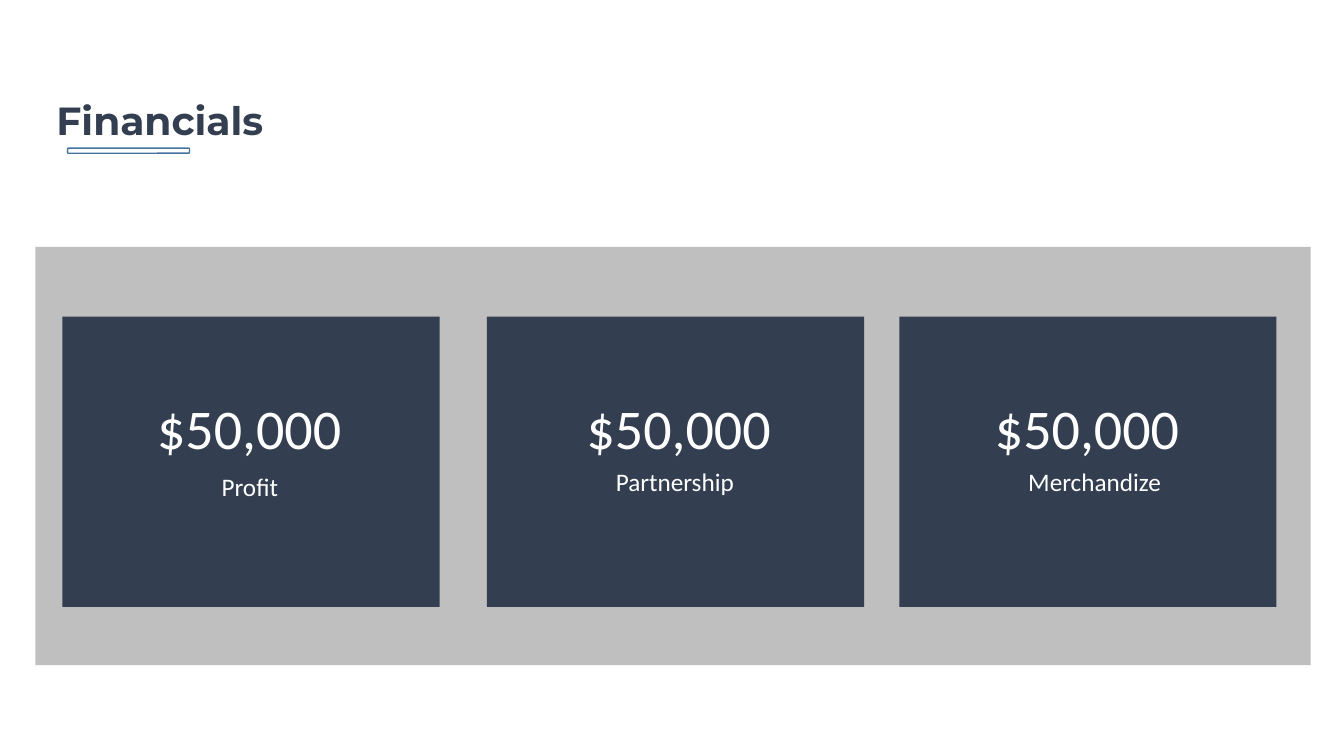
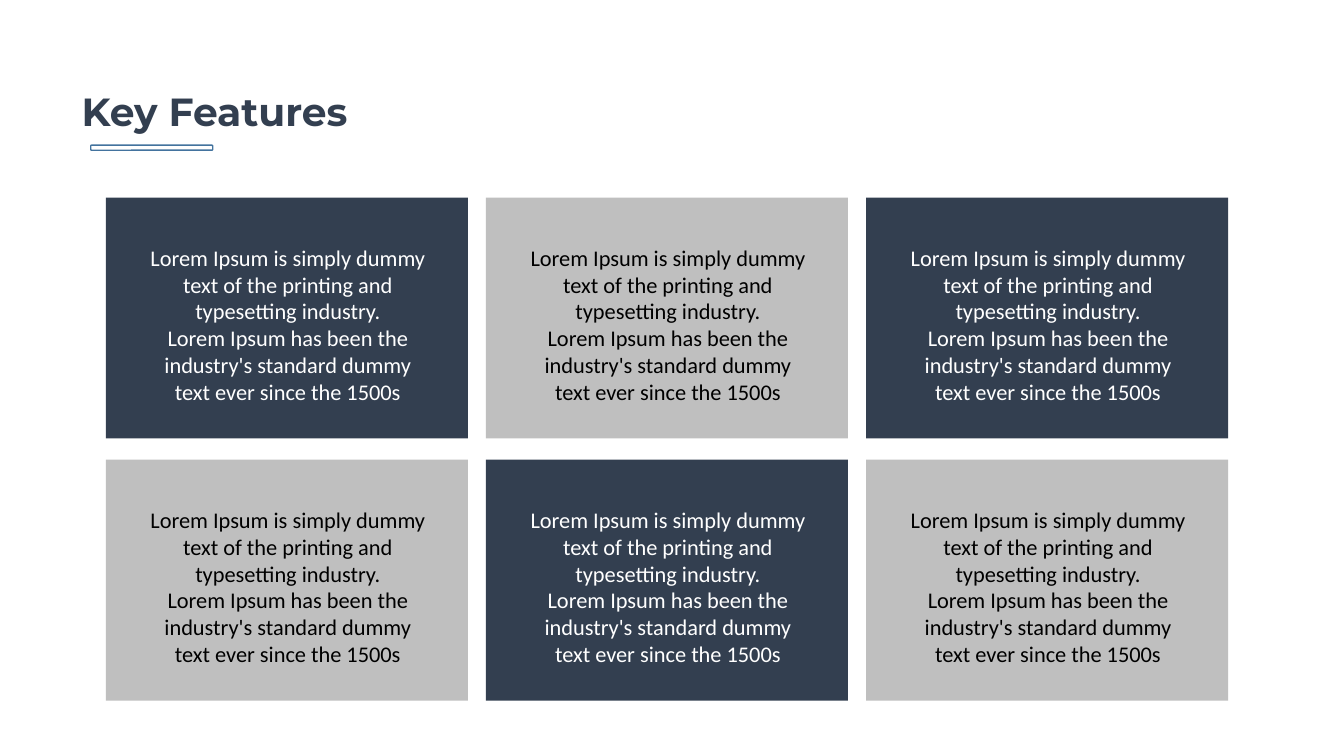
from dataclasses import dataclass

from pptx import Presentation
from pptx.dml.color import RGBColor
from pptx.enum.shapes import MSO_SHAPE
from pptx.enum.text import MSO_ANCHOR, MSO_AUTO_SIZE, PP_ALIGN
from pptx.shapes.autoshape import Shape
from pptx.slide import Slide
from pptx.util import Inches, Pt

NAVY = "333F50"
GRAY = "BFBFBF"
BLUE = "43739E"
WHITE = "FFFFFF"
BLACK = "000000"
HEADING_FONT = "Montserrat"
BODY_FONT = "Calibri"
TITLE_ONLY = 5


@dataclass(frozen=True)
class Box:
    left: float
    top: float
    width: float
    height: float

    def inches(self) -> tuple[int, int, int, int]:
        return (Inches(self.left), Inches(self.top),
                Inches(self.width), Inches(self.height))


@dataclass(frozen=True)
class Grid:
    origin: Box
    gap_x: float
    gap_y: float

    def cell(self, column: int, row: int) -> Box:
        first = self.origin
        return Box(first.left + column * (first.width + self.gap_x),
                   first.top + row * (first.height + self.gap_y),
                   first.width, first.height)


@dataclass(frozen=True)
class TextStyle:
    size: int
    color: str
    font: str = BODY_FONT
    bold: bool = False
    align: PP_ALIGN = PP_ALIGN.LEFT
    spacing: float = 1.0
    wrap: bool = False


@dataclass(frozen=True)
class Figure:
    amount: str
    label: str
    card_left: float
    amount_left: float
    label_box: Box


HEADING = TextStyle(28, NAVY, HEADING_FONT, bold=True, spacing=1.15)
AMOUNT = TextStyle(40, WHITE)
LABEL = TextStyle(18, WHITE)

FINANCIALS_PANEL = Box(0.35, 2.45, 12.65, 4.15)
FIGURES = (
    Figure("$50,000", "Profit", 0.62, 1.46, Box(2.1, 4.63, 0.77, 0.4)),
    Figure("$50,000", "Partnership", 4.83, 5.72, Box(6.01, 4.58, 1.38, 0.4)),
    Figure("$50,000", "Merchandize", 8.92, 9.77, Box(10.1, 4.58, 1.53, 0.4)),
)

FEATURE_GRID = Grid(Box(1.05, 1.96, 3.59, 2.39), gap_x=0.18, gap_y=0.21)
FEATURE_COLUMNS, FEATURE_ROWS = 3, 2
FEATURE_LINES = (
    "Lorem Ipsum is simply dummy",
    "text of the printing and",
    "typesetting industry.",
    "Lorem Ipsum has been the",
    "industry's standard dummy",
    "text ever since the 1500s",
)


def rgb(color: str) -> RGBColor:
    return RGBColor.from_string(color)


def write(holder: Shape, lines: tuple[str, ...], style: TextStyle) -> None:
    frame = holder.text_frame
    frame.word_wrap = style.wrap
    frame.auto_size = MSO_AUTO_SIZE.SHAPE_TO_FIT_TEXT
    frame.vertical_anchor = MSO_ANCHOR.TOP
    for index, line in enumerate(lines):
        paragraph = frame.add_paragraph() if index else frame.paragraphs[0]
        paragraph.alignment = style.align
        paragraph.line_spacing = style.spacing
        run = paragraph.add_run()
        run.text = line
        run.font.name = style.font
        run.font.size = Pt(style.size)
        run.font.bold = style.bold
        run.font.color.rgb = rgb(style.color)


def add_text(slide: Slide, box: Box, lines: tuple[str, ...], style: TextStyle) -> None:
    write(slide.shapes.add_textbox(*box.inches()), lines, style)


def add_card(slide: Slide, box: Box, color: str) -> None:
    card = slide.shapes.add_shape(MSO_SHAPE.RECTANGLE, *box.inches())
    card.shadow.inherit = False
    card.fill.solid()
    card.fill.fore_color.rgb = rgb(color)
    card.line.fill.background()


def add_heading(slide: Slide, heading: str, box: Box, rule_left: float, rule_top: float) -> None:
    title = slide.shapes.title
    title.left, title.top, title.width, title.height = box.inches()
    write(title, (heading,), HEADING)
    rule = slide.shapes.add_shape(MSO_SHAPE.ROUNDED_RECTANGLE,
                                  *Box(rule_left, rule_top, 1.21, 0.05).inches())
    rule.shadow.inherit = False
    rule.fill.background()
    rule.line.color.rgb = rgb(BLUE)
    rule.line.width = Pt(1)


def build_financials(slide: Slide) -> None:
    add_card(slide, FINANCIALS_PANEL, GRAY)
    add_heading(slide, "Financials", Box(0.46, 0.84, 2.4, 0.61), 0.67, 1.47)
    for figure in FIGURES:
        add_card(slide, Box(figure.card_left, 3.14, 3.74, 2.88), NAVY)
        add_text(slide, Box(figure.amount_left, 3.86, 2.05, 0.77), (figure.amount,), AMOUNT)
        add_text(slide, figure.label_box, (figure.label,), LABEL)


def build_key_features(slide: Slide) -> None:
    add_heading(slide, "Key Features", Box(0.71, 0.75, 3.03, 0.61), 0.9, 1.44)
    for row in range(FEATURE_ROWS):
        for column in range(FEATURE_COLUMNS):
            dark = (row + column) % 2 == 0
            card = FEATURE_GRID.cell(column, row)
            add_card(slide, card, NAVY if dark else GRAY)
            style = TextStyle(16, WHITE if dark else BLACK,
                              align=PP_ALIGN.CENTER, wrap=True)
            add_text(slide, Box(card.left + 0.21, card.top + 0.41, 3.19, 1.72),
                     FEATURE_LINES, style)


def main() -> None:
    deck = Presentation()
    deck.slide_width = Inches(13.33)
    deck.slide_height = Inches(7.5)
    for build in (build_financials, build_key_features):
        build(deck.slides.add_slide(deck.slide_layouts[TITLE_ONLY]))
    deck.save("out.pptx")


if __name__ == "__main__":
    main()
